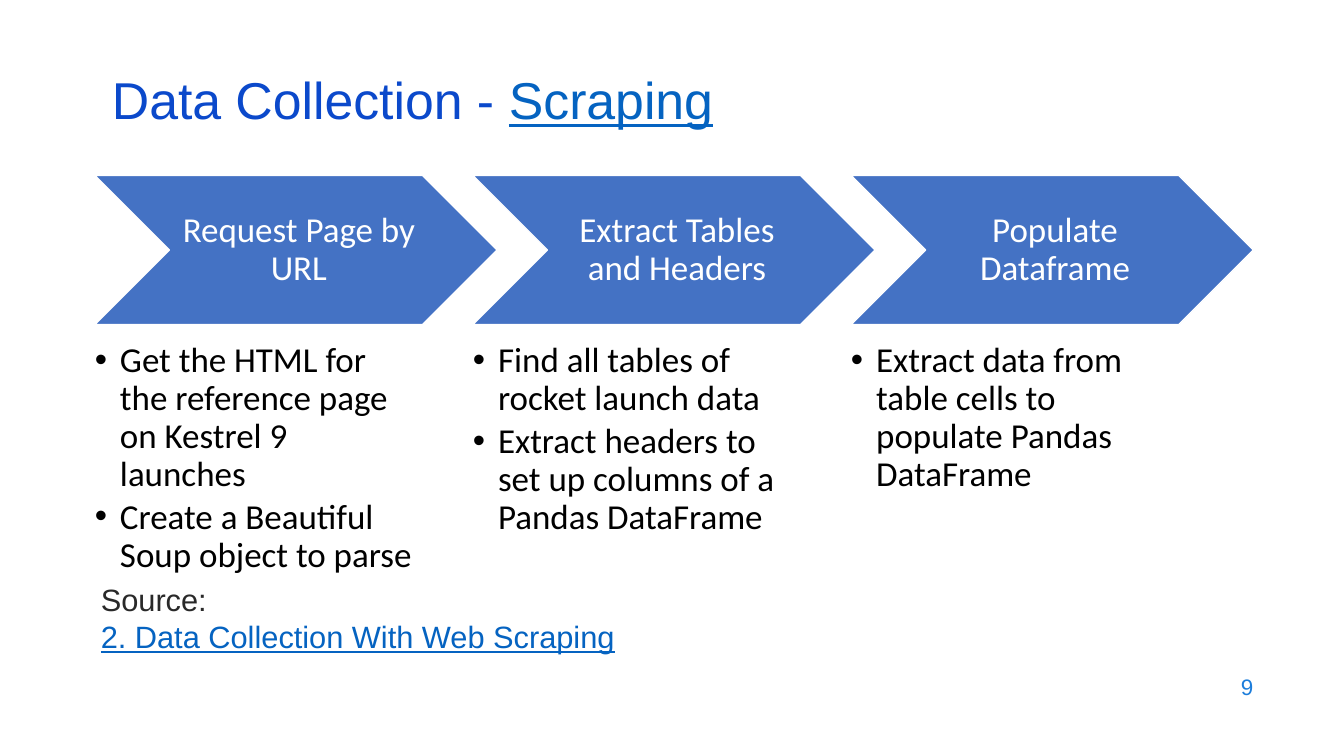
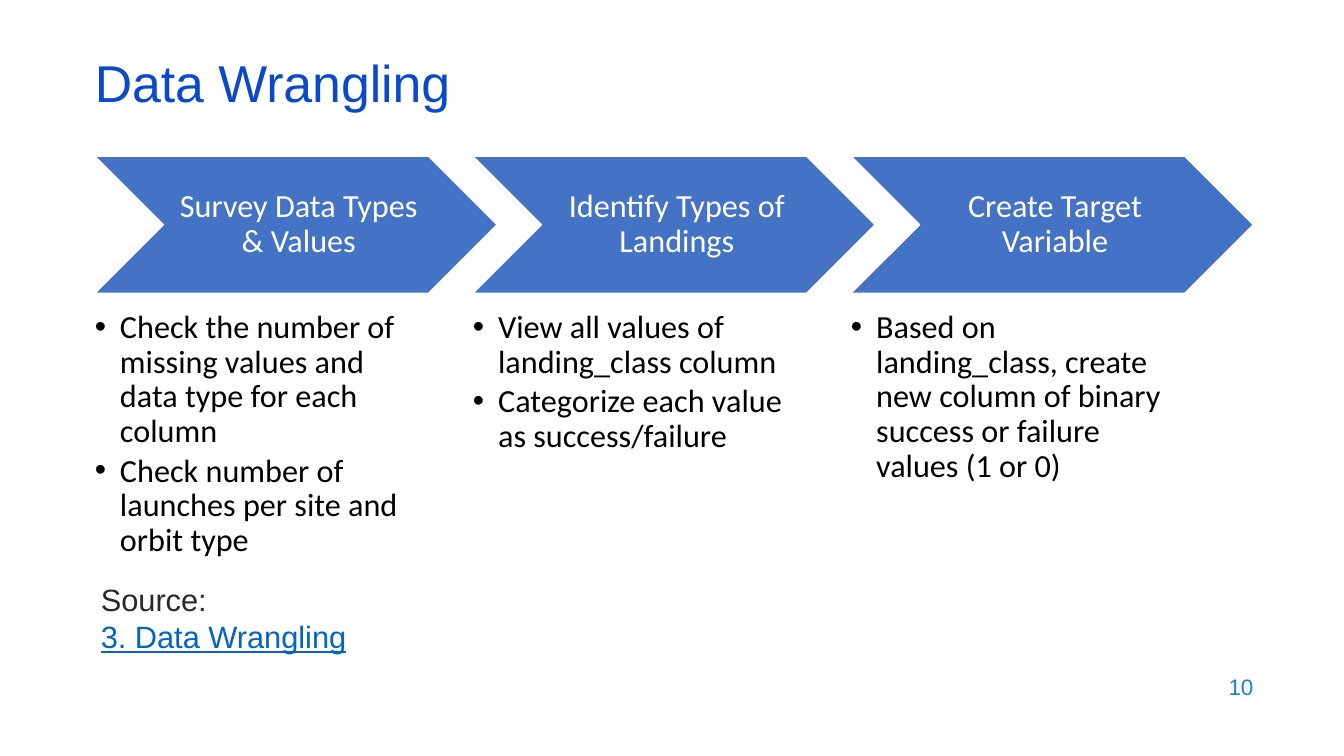
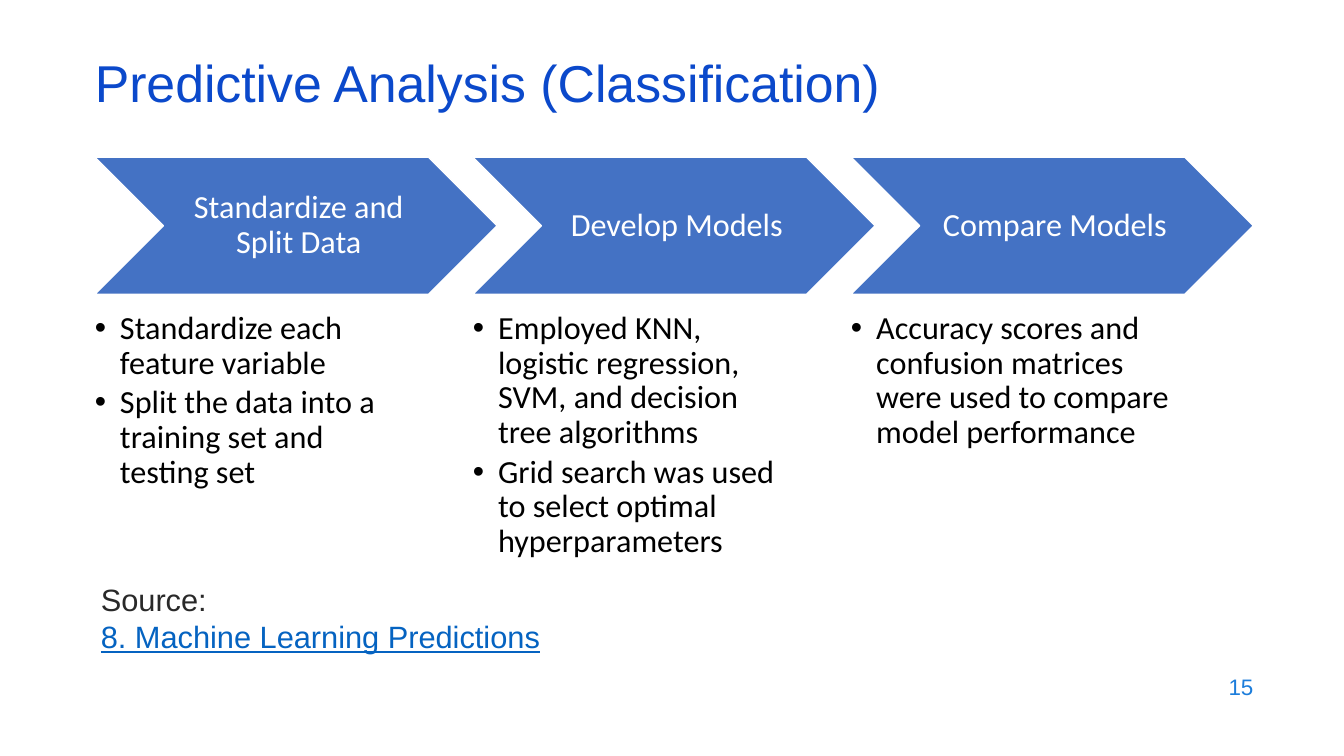
from lxml import etree
from pptx import Presentation
from pptx import util as u
from pptx.dml.color import RGBColor
from pptx.enum import shapes, text
from pptx.oxml.ns import qn

COLOURS = {
    "title": "0B49CB",
    "link": "0563C1",
    "number": "1C7DDB",
    "label": "292929",
    "chevron": "4472C4",
    "white": "FFFFFF",
    "black": "000000",
}
HEADING_FONT = "Arial"
STEP_FONT = "Calibri"
COMPARISON_LAYOUT = 3 + 1  # title and four text placeholders
STEP_LEFT, STEP_PITCH = 0.94, 3.75
CHEVRON_WIDTH, LIST_WIDTH = 3.99, 3.19


def colour(name):
    return RGBColor.from_string(COLOURS[name])


class Deck:
    """The presentation, its style and the slide being filled."""

    def __init__(self):
        self.presentation = Presentation()
        self.presentation.slide_width = u.Inches(13.33)
        self.presentation.slide_height = u.Inches(7.5)
        self.slide = None

    def add_slide(self, number):
        layout = self.presentation.slide_layouts[COMPARISON_LAYOUT]
        self.slide = self.presentation.slides.add_slide(layout)
        self.page_number(number)

    def place(self, shape, left, top, width, height):
        shape.left, shape.top = u.Inches(left), u.Inches(top)
        shape.width, shape.height = u.Inches(width), u.Inches(height)

    def frame(self, shape, anchor, insets=(0.1, 0.05, 0.1, 0.05)):
        """Set wrapping, anchor and insets (left, top, right, bottom)."""
        frame = shape.text_frame
        frame.word_wrap = True
        frame.auto_size = text.MSO_AUTO_SIZE.NONE
        frame.vertical_anchor = anchor
        (frame.margin_left, frame.margin_top,
         frame.margin_right, frame.margin_bottom) = map(u.Inches, insets)
        return frame

    def paragraph(self, frame, content, size, font, ink, align=text.PP_ALIGN.LEFT,
                  spacing=1.0, after=0, bullet=False, link=""):
        """Write content, then link as an underlined run, in the next paragraph."""
        paragraph = frame.paragraphs[0]
        if paragraph.runs:
            paragraph = frame.add_paragraph()
        properties = paragraph._p.get_or_add_pPr()
        indent = u.Inches(0.25) if bullet else 0
        properties.set("marL", str(indent))
        properties.set("indent", str(-indent))
        if bullet:
            etree.SubElement(properties, qn("a:buFont")).set("typeface", "Arial")
            etree.SubElement(properties, qn("a:buChar")).set("char", "•")
        else:
            etree.SubElement(properties, qn("a:buNone"))
        paragraph.alignment = align
        paragraph.line_spacing = spacing
        paragraph.space_before = u.Pt(0)
        paragraph.space_after = u.Pt(after)
        paragraph.font.size = u.Pt(size)
        paragraph.font.name = font
        paragraph.font.bold = False
        paragraph.font.color.rgb = colour(ink)
        if content:
            paragraph.add_run().text = content
        if link:
            run = paragraph.add_run()
            run.text = link
            run.font.underline = True
            run.font.color.rgb = colour("link")

    def page_number(self, number):
        box = self.slide.shapes.add_textbox(
            u.Inches(9.53), u.Inches(6.59), u.Inches(3), u.Inches(0.44))
        frame = self.frame(box, text.MSO_ANCHOR.MIDDLE)
        self.paragraph(frame, str(number), 16, HEADING_FONT, "number",
                       text.PP_ALIGN.RIGHT)

    def title(self, content, link="", left=0.84, top=0.59):
        title = self.slide.shapes.title
        self.place(title, left, top, 11.5, 0.6)
        frame = self.frame(title, text.MSO_ANCHOR.MIDDLE)
        self.paragraph(frame, content, 37, HEADING_FONT, "title",
                       spacing=0.7, link=link)

    def source(self, link):
        body = self.slide.placeholders[4]
        self.place(body, 0.9, 5.71, 5.77, 0.88)
        frame = self.frame(body, text.MSO_ANCHOR.TOP)
        self.paragraph(frame, "Source:", 22, HEADING_FONT, "label")
        self.paragraph(frame, "", 22, HEADING_FONT, "label", link=link)

    def chevron(self, label, left, top, height, size):
        shape = self.slide.shapes.add_shape(
            shapes.MSO_SHAPE.CHEVRON, u.Inches(left), u.Inches(top),
            u.Inches(CHEVRON_WIDTH), u.Inches(height))
        shape.shadow.inherit = False
        shape.fill.solid()
        shape.fill.fore_color.rgb = colour("chevron")
        shape.line.color.rgb = colour("white")
        shape.line.width = u.Pt(1)
        frame = self.frame(shape, text.MSO_ANCHOR.MIDDLE, (0.1, 0.04, 0.04, 0.04))
        self.paragraph(frame, label, size, STEP_FONT, "white",
                       text.PP_ALIGN.CENTER, 0.9)

    def bullets(self, index, items, left, top, height, size):
        body = self.slide.placeholders[index]
        self.place(body, left, top, LIST_WIDTH, height)
        frame = self.frame(body, text.MSO_ANCHOR.TOP, (0, 0, 0, 0))
        for item in items:
            self.paragraph(frame, item, size, STEP_FONT, "black",
                           spacing=0.9, after=0.15 * size, bullet=True)

    def process(self, steps, top, height, list_top, list_height, size):
        """Draw a row of chevrons with a bullet list under each."""
        for index, (label, items) in enumerate(steps):
            left = STEP_LEFT + index * STEP_PITCH
            self.chevron(label, left, top, height, size)
            self.bullets(index + 1, items, left, list_top, list_height, size)


def main():
    deck = Deck()

    deck.add_slide(9)
    deck.title("Data Collection - ", link="Scraping", left=1.01, top=0.76)
    deck.process([
        ("Request Page by URL",
         ["Get the HTML for the reference page on Kestrel 9 launches",
          "Create a Beautiful Soup object to parse"]),
        ("Extract Tables and Headers",
         ["Find all tables of rocket launch data",
          "Extract headers to set up columns of a Pandas DataFrame"]),
        ("Populate Dataframe",
         ["Extract data from table cells to populate Pandas DataFrame"]),
    ], top=1.74, height=1.48, list_top=3.4, list_height=2.03, size=25)
    deck.source("2. Data Collection With Web Scraping")

    deck.add_slide(10)
    deck.title("Data Wrangling")
    deck.process([
        ("Survey Data Types & Values",
         ["Check the number of missing values and data type for each column",
          "Check number of launches per site and orbit type"]),
        ("Identify Types of Landings",
         ["View all values of landing_class column",
          "Categorize each value as success/failure"]),
        ("Create Target Variable",
         ["Based on landing_class, create new column of binary success "
          "or failure values (1 or 0)"]),
    ], top=1.55, height=1.36, list_top=3.08, list_height=2.55, size=23)
    deck.source("3. Data Wrangling")

    deck.add_slide(15)
    deck.title("Predictive Analysis (Classification)")
    deck.process([
        ("Standardize and Split Data",
         ["Standardize each feature variable",
          "Split the data into a training set and testing set"]),
        ("Develop Models",
         ["Employed KNN, logistic regression, SVM, and decision tree algorithms",
          "Grid search was used to select optimal hyperparameters"]),
        ("Compare Models",
         ["Accuracy scores and confusion matrices were used to compare "
          "model performance"]),
    ], top=1.56, height=1.36, list_top=3.09, list_height=2.53, size=23)
    deck.source("8. Machine Learning Predictions")

    deck.presentation.save("out.pptx")


if __name__ == "__main__":
    main()
